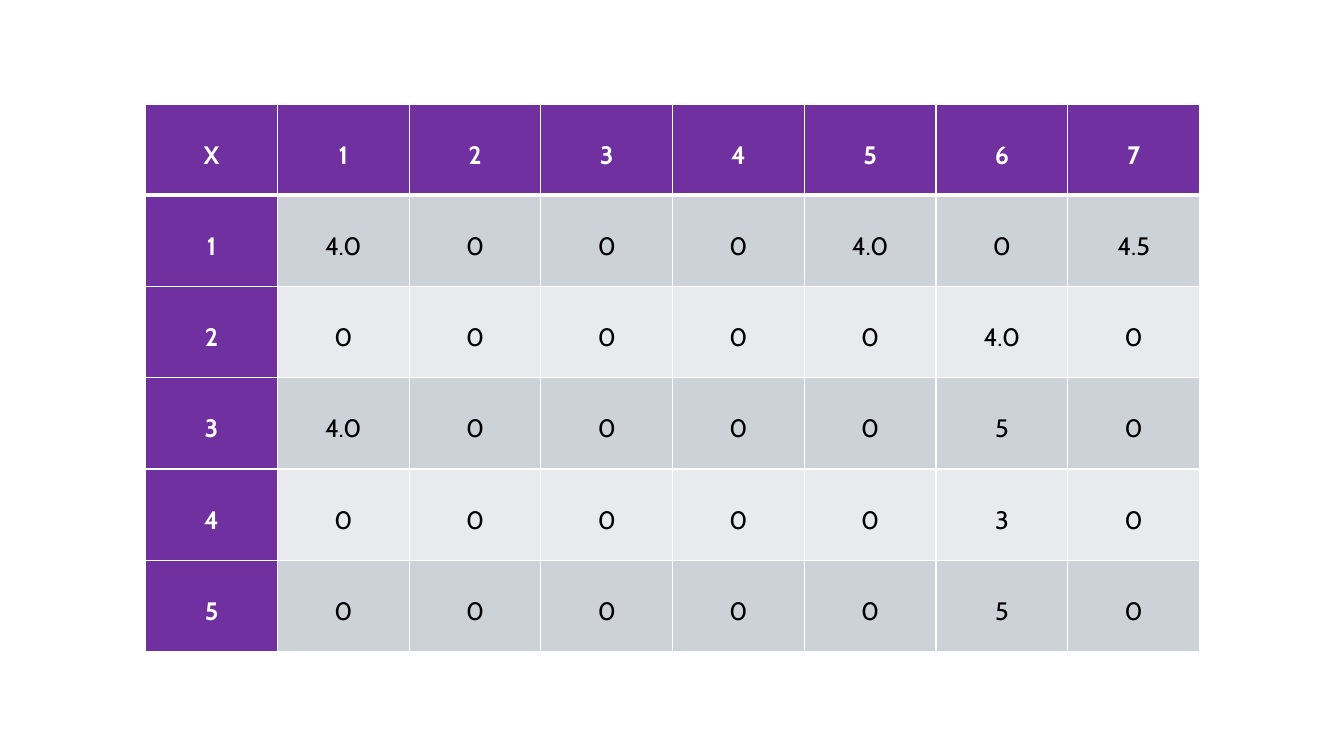
"""Build a slide with a five by seven ratings matrix."""
from lxml import etree
from pptx import Presentation
from pptx.dml.color import RGBColor
from pptx.enum.text import MSO_ANCHOR, PP_ALIGN
from pptx.oxml.ns import qn
from pptx.util import Cm, Pt

CENTER = PP_ALIGN.CENTER
TOP = MSO_ANCHOR.TOP

COLORS = {
    "heading": "7030A0",
    "odd_row": "CCD2D8",
    "even_row": "E8EAED",
    "heading_text": "FFFFFF",
    "rating_text": "000000",
    "border": "FFFFFF",
}
MATRIX = [
    ["X", "1", "2", "3", "4", "5", "6", "7"],
    ["1", "4.0", "0", "0", "0", "4.0", "0", "4.5"],
    ["2", "0", "0", "0", "0", "0", "4.0", "0"],
    ["3", "4.0", "0", "0", "0", "0", "5", "0"],
    ["4", "0", "0", "0", "0", "0", "3", "0"],
    ["5", "0", "0", "0", "0", "0", "5", "0"],
]
ROW_COUNT, COLUMN_COUNT = len(MATRIX), len(MATRIX[0])
COLUMN_WIDTH, ROW_HEIGHT = Cm(3.32), Cm(2.3)


def add_border(cell, side, points):
    """Draw one solid edge of a table cell."""
    edge = etree.SubElement(cell._tc.get_or_add_tcPr(), qn(f"a:{side}"), w=str(Pt(points)))
    fill = etree.SubElement(edge, qn("a:solidFill"))
    etree.SubElement(fill, qn("a:srgbClr"), val=COLORS["border"])


presentation = Presentation()
presentation.slide_width, presentation.slide_height = Cm(33.87), Cm(19.05)
slide = presentation.slides.add_slide(presentation.slide_layouts[6])

ratings = slide.shapes.add_table(
    ROW_COUNT, COLUMN_COUNT, Cm(3.67), Cm(2.62),
    COLUMN_WIDTH * COLUMN_COUNT, ROW_HEIGHT * ROW_COUNT,
).table
ratings.first_col = True
for column in ratings.columns:
    column.width = COLUMN_WIDTH
for row in ratings.rows:
    row.height = ROW_HEIGHT

for row_index, row_values in enumerate(MATRIX):
    band = "odd_row" if row_index % 2 else "even_row"
    for column_index, value in enumerate(row_values):
        is_heading = row_index == 0 or column_index == 0
        cell = ratings.cell(row_index, column_index)
        cell.vertical_anchor = TOP
        edges = {
            "lnL": 1,
            "lnR": 1,
            "lnT": 3 if row_index == 1 else 1,
            "lnB": 3 if row_index == 0 else 1,
        }
        for side, points in edges.items():
            add_border(cell, side, points)
        cell.fill.solid()
        cell.fill.fore_color.rgb = RGBColor.from_string(COLORS["heading" if is_heading else band])

        paragraph = cell.text_frame.paragraphs[0]
        paragraph.alignment = CENTER
        paragraph.line_spacing = 2.0
        run = paragraph.add_run()
        run.text = value
        for attribute, setting in {"name": "Cabin", "size": Pt(18), "bold": is_heading}.items():
            setattr(run.font, attribute, setting)
        text_color = COLORS["heading_text" if is_heading else "rating_text"]
        run.font.color.rgb = RGBColor.from_string(text_color)

presentation.save("out.pptx")
